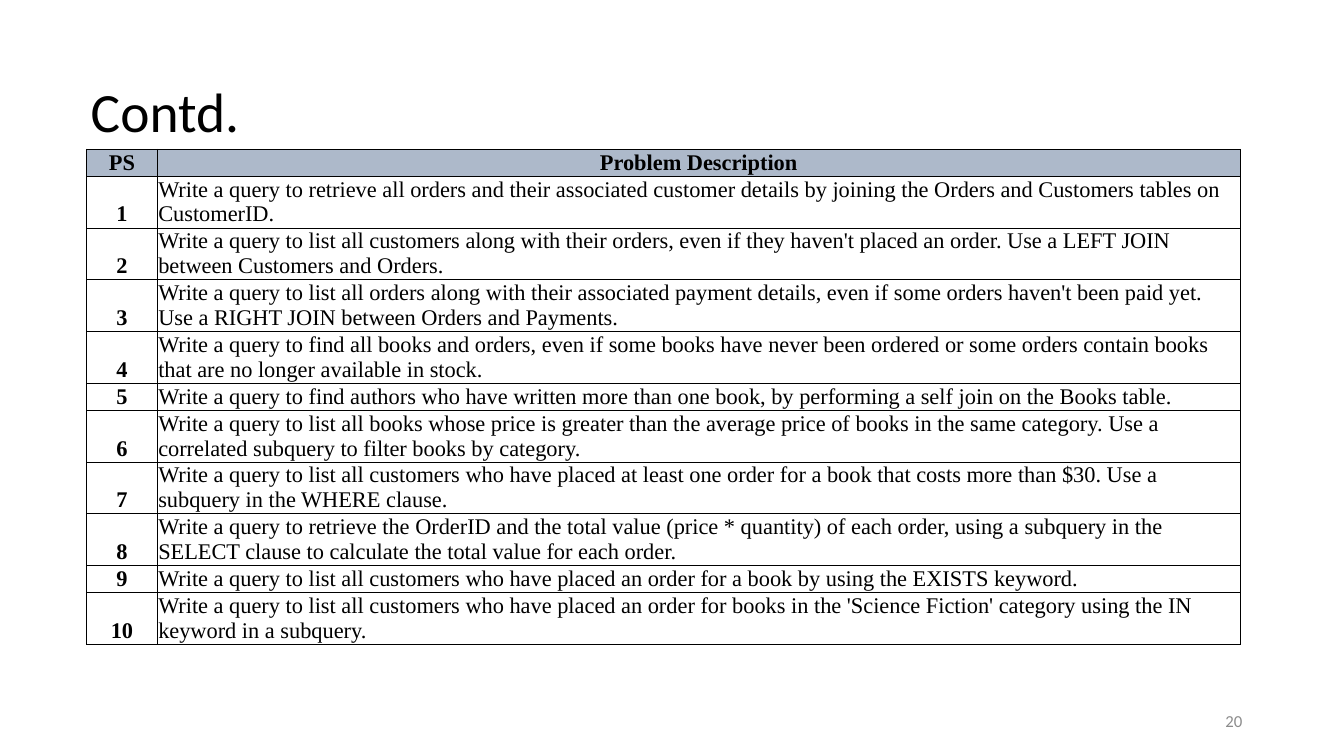
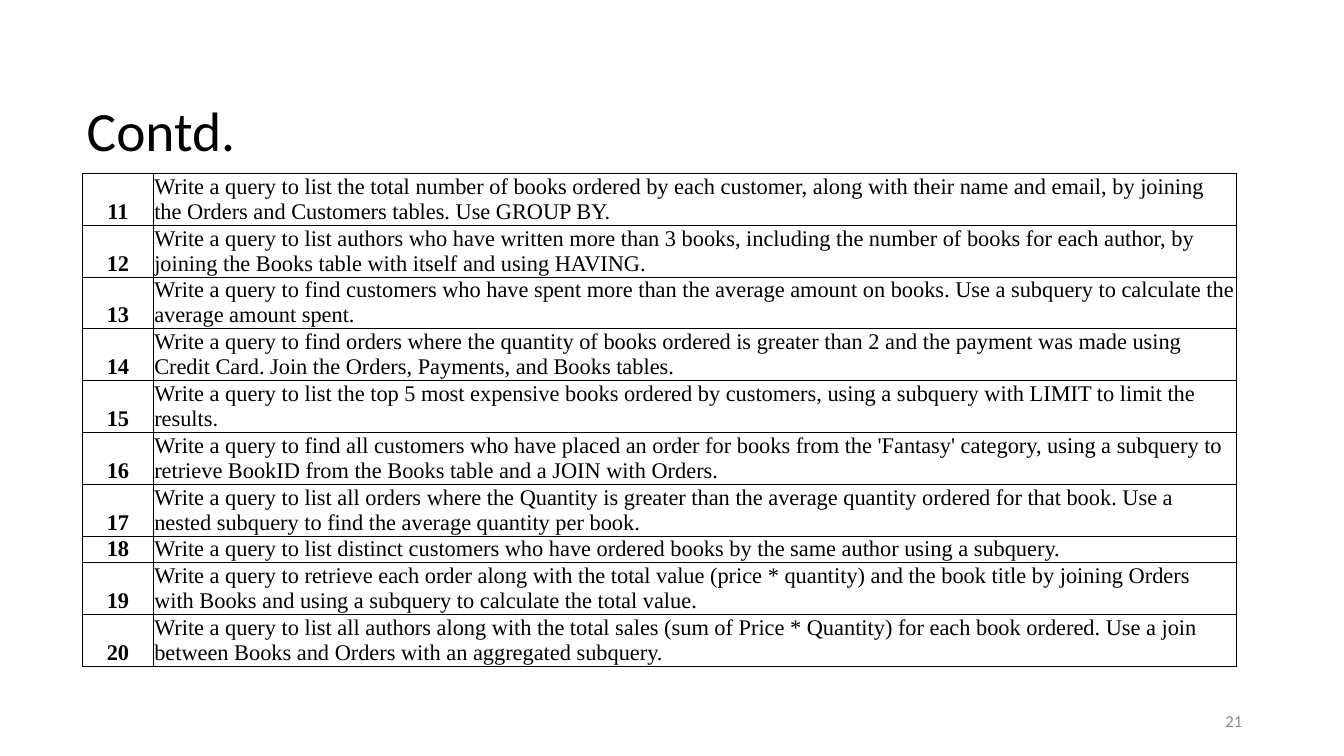
"""Build two slides listing SQL problem statements in bordered tables."""
import pptx
import pptx.util
import pptx.dml.color
import pptx.enum.text
import pptx.oxml.ns
import lxml.etree

Inches = pptx.util.Inches
Pt = pptx.util.Pt
PP_ALIGN = pptx.enum.text.PP_ALIGN
ANCHOR = pptx.enum.text.MSO_ANCHOR

COLORS = {"text": "000000", "header": "ADB9CA", "border": "000000", "number": "8C8C8C"}
HEADING_FONT = "Calibri"
TABLE_FONT = "Times New Roman"
COL_WIDTHS = (0.7, 10.74)
ONE_LINE, TWO_LINES = 0.26, 0.51
LINE_CHARS = 115

SLIDES = [
    {
        "number": 20, "first": 1, "title_at": (0.8, 0.79), "table_at": (0.86, 1.48),
        "header": ("PS", "Problem Description"),
        "problems": [
            "Write a query to retrieve all orders and their associated customer details by joining the Orders and Customers tables on CustomerID.",
            "Write a query to list all customers along with their orders, even if they haven't placed an order. Use a LEFT JOIN between Customers and Orders.",
            "Write a query to list all orders along with their associated payment details, even if some orders haven't been paid yet. Use a RIGHT JOIN between Orders and Payments.",
            "Write a query to find all books and orders, even if some books have never been ordered or some orders contain books that are no longer available in stock.",
            "Write a query to find authors who have written more than one book, by performing a self join on the Books table.",
            "Write a query to list all books whose price is greater than the average price of books in the same category. Use a correlated subquery to filter books by category.",
            "Write a query to list all customers who have placed at least one order for a book that costs more than $30. Use a subquery in the WHERE clause.",
            "Write a query to retrieve the OrderID and the total value (price * quantity) of each order, using a subquery in the SELECT clause to calculate the total value for each order.",
            "Write a query to list all customers who have placed an order for a book by using the EXISTS keyword.",
            "Write a query to list all customers who have placed an order for books in the 'Science Fiction' category using the IN keyword in a subquery.",
        ],
    },
    {
        "number": 21, "first": 11, "title_at": (0.76, 0.98), "table_at": (0.82, 1.72),
        "header": None,
        "problems": [
            "Write a query to list the total number of books ordered by each customer, along with their name and email, by joining the Orders and Customers tables. Use GROUP BY.",
            "Write a query to list authors who have written more than 3 books, including the number of books for each author, by joining the Books table with itself and using HAVING.",
            "Write a query to find customers who have spent more than the average amount on books. Use a subquery to calculate the average amount spent.",
            "Write a query to find orders where the quantity of books ordered is greater than 2 and the payment was made using Credit Card. Join the Orders, Payments, and Books tables.",
            "Write a query to list the top 5 most expensive books ordered by customers, using a subquery with LIMIT to limit the results.",
            "Write a query to find all customers who have placed an order for books from the 'Fantasy' category, using a subquery to retrieve BookID from the Books table and a JOIN with Orders.",
            "Write a query to list all orders where the Quantity is greater than the average quantity ordered for that book. Use a nested subquery to find the average quantity per book.",
            "Write a query to list distinct customers who have ordered books by the same author using a subquery.",
            "Write a query to retrieve each order along with the total value (price * quantity) and the book title by joining Orders with Books and using a subquery to calculate the total value.",
            "Write a query to list all authors along with the total sales (sum of Price * Quantity) for each book ordered. Use a join between Books and Orders with an aggregated subquery.",
        ],
    },
]


def write(tf, text, font, size, color, align, bold=False):
    """Put one formatted run in the first paragraph and return the paragraph."""
    p = tf.paragraphs[0]
    p.alignment = align
    r = p.add_run()
    r.text = text
    r.font.name = font
    r.font.size = Pt(size)
    r.font.bold = bold
    r.font.color.rgb = pptx.dml.color.RGBColor.from_string(color)
    return p


def add_borders(cell):
    """Draw a thin line on all four sides of a cell."""
    qn = pptx.oxml.ns.qn
    tc_pr = cell._tc.get_or_add_tcPr()
    for side in ("a:lnL", "a:lnR", "a:lnT", "a:lnB"):
        ln = lxml.etree.SubElement(tc_pr, qn(side), w=str(Pt(0.6)))
        fill = lxml.etree.SubElement(ln, qn("a:solidFill"))
        lxml.etree.SubElement(fill, qn("a:srgbClr"), val=COLORS["border"])


prs = pptx.Presentation()
prs.slide_width = Inches(13.33)
prs.slide_height = Inches(7.5)

for page in SLIDES:
    s = prs.slides.add_slide(prs.slide_layouts[5])

    title = s.shapes.title
    title.left, title.top = map(Inches, page["title_at"])
    title.width, title.height = Inches(11.5), Inches(0.69)
    tf = title.text_frame
    tf.auto_size = pptx.enum.text.MSO_AUTO_SIZE.NONE
    tf.vertical_anchor = ANCHOR.MIDDLE
    p = write(tf, "Contd.", HEADING_FONT, 39.6, COLORS["text"], PP_ALIGN.LEFT)
    p.line_spacing = 0.9

    rows = [(str(n), text) for n, text in enumerate(page["problems"], page["first"])]
    if page["header"]:
        rows.insert(0, page["header"])
    heights = [ONE_LINE if len(text) < LINE_CHARS else TWO_LINES for _, text in rows]
    left, top = page["table_at"]
    table = s.shapes.add_table(
        len(rows), 2, Inches(left), Inches(top), Inches(sum(COL_WIDTHS)), Inches(sum(heights))
    ).table
    table.first_row = page["header"] is not None
    table.horz_banding = False
    for column, width in zip(table.columns, COL_WIDTHS):
        column.width = Inches(width)

    for i, values in enumerate(rows):
        table.rows[i].height = Inches(heights[i])
        is_header = values == page["header"]
        for j, text in enumerate(values):
            cell = table.cell(i, j)
            cell.margin_left = cell.margin_right = Inches(0.01)
            cell.margin_top = cell.margin_bottom = Inches(0.01)
            cell.vertical_anchor = ANCHOR.BOTTOM
            add_borders(cell)
            if is_header:
                cell.fill.solid()
                cell.fill.fore_color.rgb = pptx.dml.color.RGBColor.from_string(COLORS["header"])
            else:
                cell.fill.background()
            strong = is_header or j == 0
            align = PP_ALIGN.CENTER if strong else PP_ALIGN.LEFT
            write(cell.text_frame, text, TABLE_FONT, 16, COLORS["text"], align, strong)

    sp = s.shapes.add_textbox(Inches(9.42), Inches(6.95), Inches(3), Inches(0.4))
    tf = sp.text_frame
    tf.word_wrap = True
    tf.vertical_anchor = ANCHOR.MIDDLE
    write(tf, str(page["number"]), HEADING_FONT, 12, COLORS["number"], PP_ALIGN.RIGHT)

prs.save("out.pptx")
